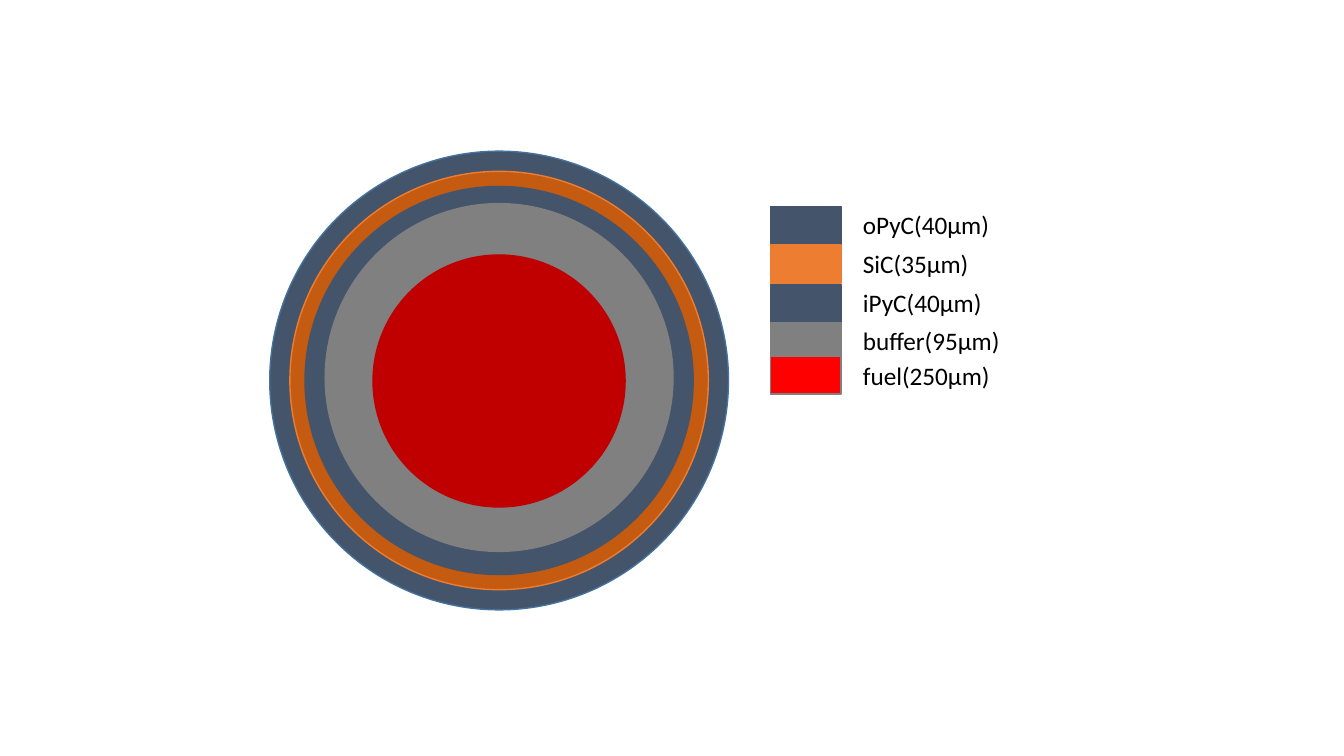
from pptx import Presentation
from pptx.dml.color import RGBColor
from pptx.enum.shapes import MSO_SHAPE
from pptx.enum.text import MSO_AUTO_SIZE
from pptx.util import Inches, Pt


def add_filled_shape(kind, left, top, width, height, fill, line):
    shape = page.shapes.add_shape(
        kind, Inches(left), Inches(top), Inches(width), Inches(height))
    shape.shadow.inherit = False
    shape.fill.solid()
    shape.fill.fore_color.rgb = RGBColor.from_string(fill)
    shape.line.color.rgb = RGBColor.from_string(line)
    shape.line.width = Pt(1)


def add_label(text, left, top, width, height, size=18, font="Calibri", color="000000"):
    box = page.shapes.add_textbox(
        Inches(left), Inches(top), Inches(width), Inches(height))
    box.text_frame.word_wrap = True
    box.text_frame.auto_size = MSO_AUTO_SIZE.SHAPE_TO_FIT_TEXT
    span = box.text_frame.paragraphs[0].add_run()
    span.text = text
    span.font.size = Pt(size)
    span.font.name = font
    span.font.color.rgb = RGBColor.from_string(color)


deck = Presentation()
deck.slide_width = Inches(13.33)
deck.slide_height = Inches(7.5)
page = deck.slides.add_slide(deck.slide_layouts[6])

center_x = 4.95
particle_layers = [
    (4.55, 1.5, "44546A", "43739E"),
    (4.15, 1.7, "C55A11", "ED7D31"),
    (3.85, 1.85, "44546A", "44546A"),
    (3.45, 2.02, "808080", "808080"),
    (2.5, 2.53, "C00000", "C00000"),
]
for diameter, top, fill, line in particle_layers:
    add_filled_shape(MSO_SHAPE.OVAL, center_x - diameter / 2, top,
                     diameter, diameter, fill, line)

legend = [
    ("oPyC(40µm)", 2.05, 2.03, "44546A", "44546A"),
    ("SiC(35µm)", 2.43, 2.41, "ED7D31", "ED7D31"),
    ("iPyC(40µm)", 2.82, 2.8, "44546A", "44546A"),
    ("buffer(95µm)", 3.2, 3.18, "808080", "808080"),
    ("fuel(250µm)", 3.53, 3.53, "FF0000", "808080"),
]
for text, swatch_top, label_top, fill, line in legend:
    add_filled_shape(MSO_SHAPE.RECTANGLE, 7.64, swatch_top, 0.7, 0.38, fill, line)
    add_label(text, 8.46, label_top, 1.58, 0.4)

deck.save("out.pptx")
